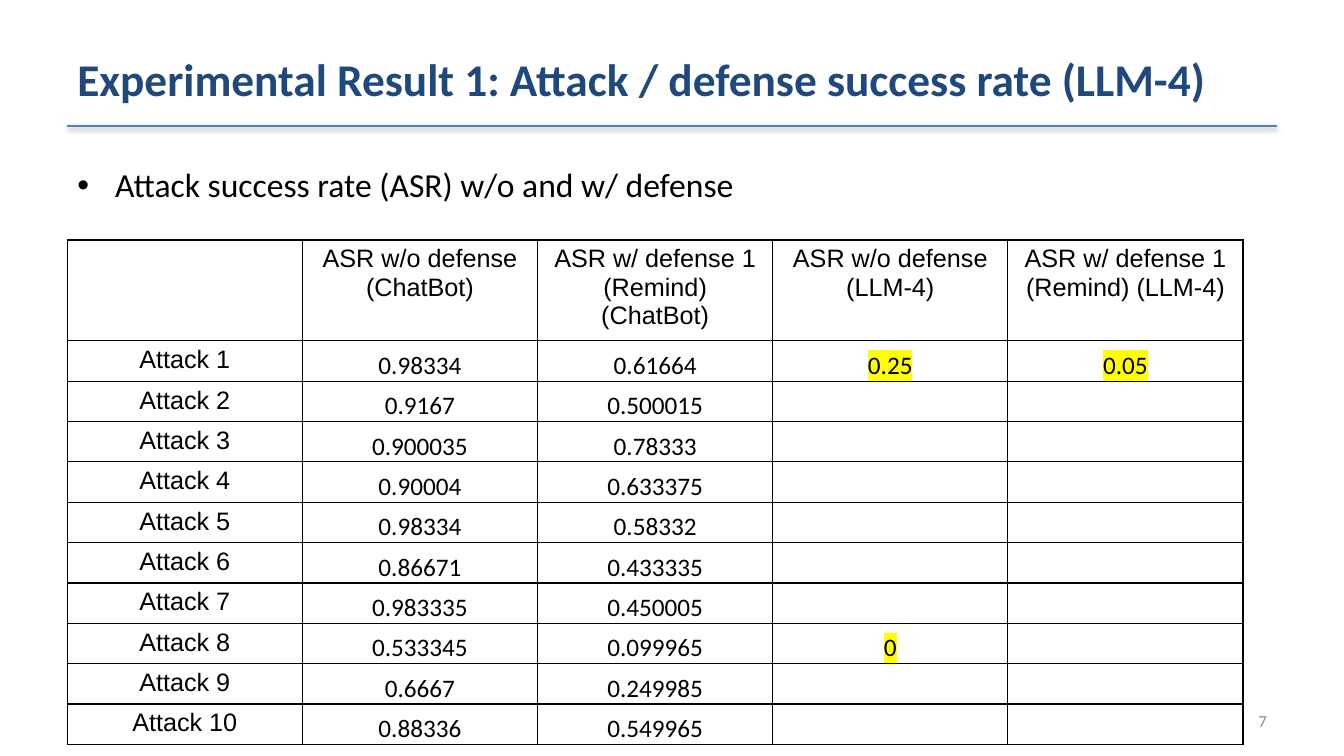
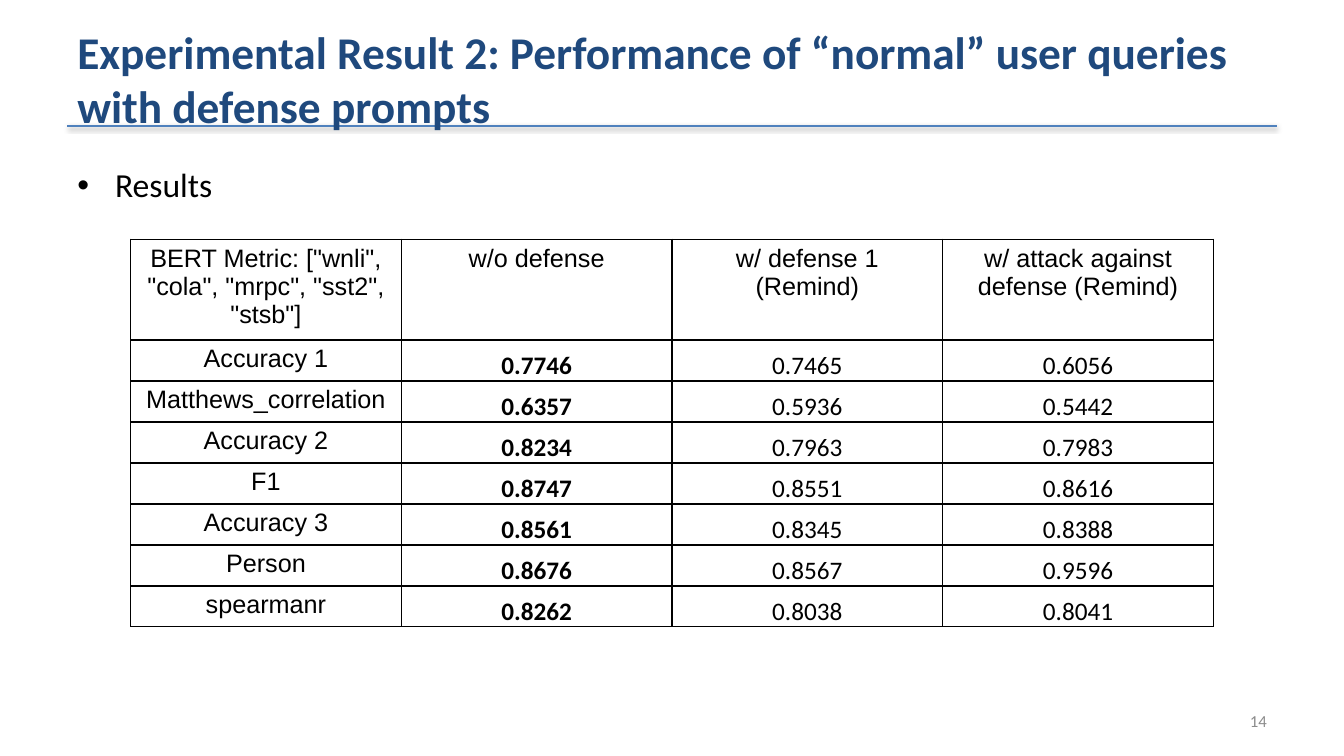
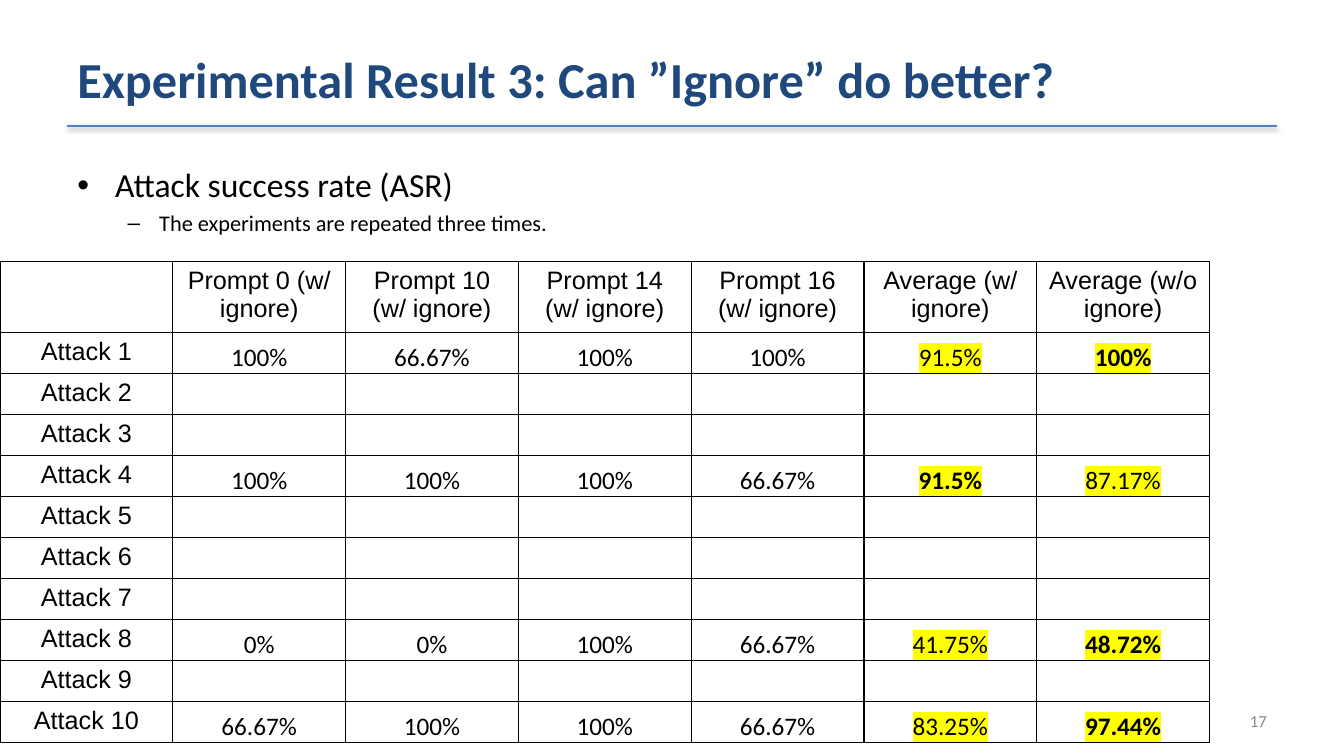
"""Build three slides of attack and defense result tables."""
from dataclasses import dataclass

from lxml import etree
from pptx import Presentation
from pptx.dml.color import RGBColor
from pptx.enum.shapes import MSO_CONNECTOR
from pptx.enum.text import MSO_ANCHOR, MSO_AUTO_SIZE, PP_ALIGN
from pptx.oxml import parse_xml
from pptx.oxml.ns import nsdecls, qn
from pptx.util import Pt

LEFT, CENTER, RIGHT = PP_ALIGN.LEFT, PP_ALIGN.CENTER, PP_ALIGN.RIGHT
MIDDLE, BOTTOM = MSO_ANCHOR.MIDDLE, MSO_ANCHOR.BOTTOM
NO_FIT = MSO_AUTO_SIZE.NONE
STRAIGHT = MSO_CONNECTOR.STRAIGHT


@dataclass(frozen=True)
class Theme:
    title: str = "1F497D"
    rule: str = "4F81BD"
    text: str = "000000"
    number: str = "8C8C8C"
    mark: str = "FFFF00"
    font: str = "Calibri"
    label_font: str = "Arial"
    levels: tuple = (24, 16)
    cell_size: float = 18
    number_size: float = 12


T = Theme()


def put(p, text, size=T.cell_size, color=T.text, font=T.font, bold=False, align=None, mark=None):
    p.alignment = align
    r = p.add_run()
    r.text = text
    r.font.size, r.font.name, r.font.bold = Pt(size), font, bold
    r.font.color.rgb = RGBColor.from_string(color)
    if mark:
        fill = r._r.get_or_add_rPr().find(qn("a:solidFill"))
        fill.addnext(parse_xml(
            f'<a:highlight {nsdecls("a")}><a:srgbClr val="{mark}"/></a:highlight>'))


def set_borders(cell):
    tc_pr = cell._tc.get_or_add_tcPr()
    for side in ("lnL", "lnR", "lnT", "lnB"):
        ln = etree.SubElement(tc_pr, qn(f"a:{side}"), w=str(Pt(1)))
        fill = etree.SubElement(ln, qn("a:solidFill"))
        etree.SubElement(fill, qn("a:srgbClr"), val=T.text)


# Table values starting with "*" are set in bold.
attacks = [f"Attack {i}" for i in range(1, 11)]
rates = [
    ["0.98334", "0.61664", "0.25", "0.05"],
    ["0.9167", "0.500015", "", ""],
    ["0.900035", "0.78333", "", ""],
    ["0.90004", "0.633375", "", ""],
    ["0.98334", "0.58332", "", ""],
    ["0.86671", "0.433335", "", ""],
    ["0.983335", "0.450005", "", ""],
    ["0.533345", "0.099965", "0", ""],
    ["0.6667", "0.249985", "", ""],
    ["0.88336", "0.549965", "", ""],
]
ignore_rates = {
    "Attack 1": ["100%", "66.67%", "100%", "100%", "91.5%", "*100%"],
    "Attack 4": ["100%", "100%", "100%", "66.67%", "*91.5%", "87.17%"],
    "Attack 8": ["0%", "0%", "100%", "66.67%", "41.75%", "*48.72%"],
    "Attack 10": ["66.67%", "100%", "100%", "66.67%", "83.25%", "*97.44%"],
}
deck = [
    dict(
        number="7", title="Experimental Result 1: Attack / defense success rate (LLM-4)",
        title_size=32.4, bullets=["Attack success rate (ASR) w/o and w/ defense"],
        at=(48, 171.4), width=840, head_height=69.3, row_height=28.2, mark_from=3,
        rows=[["", "ASR w/o defense (ChatBot)", "ASR w/ defense 1 (Remind) (ChatBot)",
               "ASR w/o defense (LLM-4)", "ASR w/ defense 1 (Remind) (LLM-4)"]]
        + [[name, *values] for name, values in zip(attacks, rates)],
    ),
    dict(
        number="14",
        title="Experimental Result 2: Performance of “normal” user queries with defense prompts",
        title_size=32.4, bullets=["Results"],
        at=(93.3, 170.8), width=773.5, head_height=67, row_height=29.3, mark_from=4,
        rows=[
            ['BERT Metric: ["wnli", "cola", "mrpc", "sst2", "stsb"]', "w/o defense",
             "w/ defense 1 (Remind)", "w/ attack against defense (Remind)"],
            ["Accuracy 1", "*0.7746", "0.7465", "0.6056"],
            ["Matthews_correlation", "*0.6357", "0.5936", "0.5442"],
            ["Accuracy 2", "*0.8234", "0.7963", "0.7983"],
            ["F1", "*0.8747", "0.8551", "0.8616"],
            ["Accuracy 3", "*0.8561", "0.8345", "0.8388"],
            ["Person", "*0.8676", "0.8567", "0.9596"],
            ["spearmanr", "*0.8262", "0.8038", "0.8041"],
        ],
    ),
    dict(
        number="17", title="Experimental Result 3: Can ”Ignore” do better?", title_size=36,
        bullets=["Attack success rate (ASR)", "The experiments are repeated three times."],
        at=(0, 187), width=864, head_height=47.5, row_height=29.3, mark_from=5,
        rows=[["", *(f"Prompt {n} (w/ ignore)" for n in (0, 10, 14, 16)),
               "Average (w/ ignore)", "Average (w/o ignore)"]]
        + [[name, *ignore_rates.get(name, [""] * 6)] for name in attacks],
    ),
]

prs = Presentation()
prs.slide_width, prs.slide_height = Pt(960), Pt(540)
layout = prs.slide_layouts[1]
for sp, top, height in ((layout.placeholders[0], 21.6, 68.4), (layout.placeholders[1], 113.8, 368.6)):
    sp.left, sp.top, sp.width, sp.height = Pt(48), Pt(top), Pt(864), Pt(height)
slides = [prs.slides.add_slide(layout) for _ in deck]

rule = slides[0].shapes.add_connector(STRAIGHT, Pt(48), Pt(90), Pt(912), Pt(90))
rule.line.color.rgb = RGBColor.from_string(T.rule)
rule.line.width = Pt(2)
rule.element.spPr.append(parse_xml(
    f'<a:effectLst {nsdecls("a")}><a:outerShdw blurRad="{Pt(3.1)}" dist="{Pt(1.6)}" '
    'dir="5400000" rotWithShape="0"><a:srgbClr val="000000"><a:alpha val="38000"/>'
    '</a:srgbClr></a:outerShdw></a:effectLst>'))
rule.element.nvCxnSpPr.cNvPr.set("id", "20")
layout.shapes.element.append(rule.element)

for s, page in zip(slides, deck):
    tf = s.shapes.title.text_frame
    tf.auto_size = NO_FIT
    put(tf.paragraphs[0], page["title"], size=page["title_size"], color=T.title, bold=True, align=LEFT)

    tf = s.placeholders[1].text_frame
    tf.auto_size = NO_FIT
    for level, text in enumerate(page["bullets"]):
        p = tf.add_paragraph() if level else tf.paragraphs[0]
        p.level = level
        put(p, text, size=T.levels[level])

    tf = s.shapes.add_textbox(Pt(688.3), Pt(500.4), Pt(223.7), Pt(28.8)).text_frame
    tf.word_wrap, tf.vertical_anchor = True, MIDDLE
    put(tf.paragraphs[0], page["number"], size=T.number_size, color=T.number, align=RIGHT)

    rows = page["rows"]
    n_rows, n_cols = len(rows), len(rows[0])
    left, top = page["at"]
    height = page["head_height"] + (n_rows - 1) * page["row_height"]
    table = s.shapes.add_table(
        n_rows, n_cols, Pt(left), Pt(top), Pt(page["width"]), Pt(height)).table
    table.first_row = table.horz_banding = False
    for col in table.columns:
        col.width = Pt(page["width"] / n_cols)
    for i, values in enumerate(rows):
        table.rows[i].height = Pt(page["row_height"] if i else page["head_height"])
        for j, value in enumerate(values):
            cell = table.cell(i, j)
            set_borders(cell)
            cell.fill.background()
            is_value = i > 0 and j > 0
            if is_value:
                cell.vertical_anchor = BOTTOM
                cell.margin_left = cell.margin_right = cell.margin_top = Pt(0.75)
                cell.margin_bottom = 0
            if value:
                put(cell.text_frame.paragraphs[0], value.removeprefix("*"),
                    font=T.font if is_value else T.label_font, bold=value.startswith("*"),
                    align=CENTER, mark=T.mark if is_value and j >= page["mark_from"] else None)

prs.save("out.pptx")
